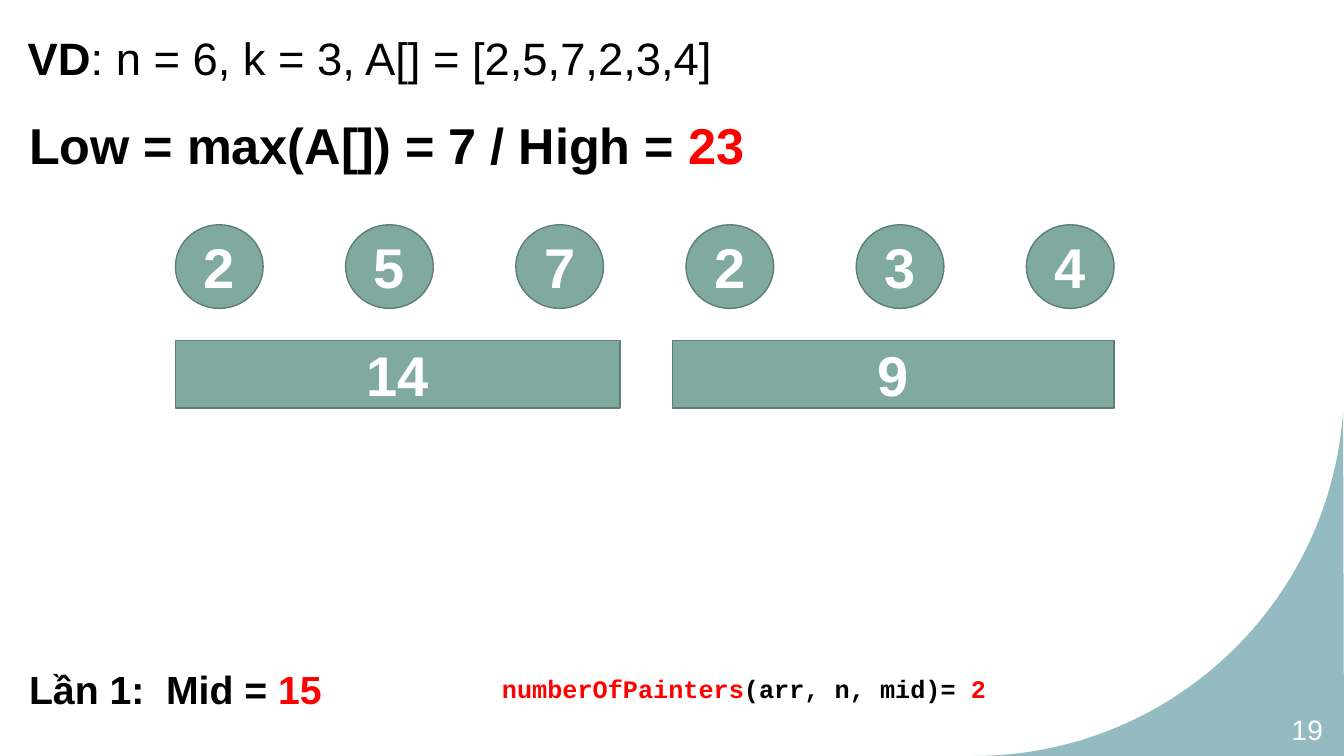
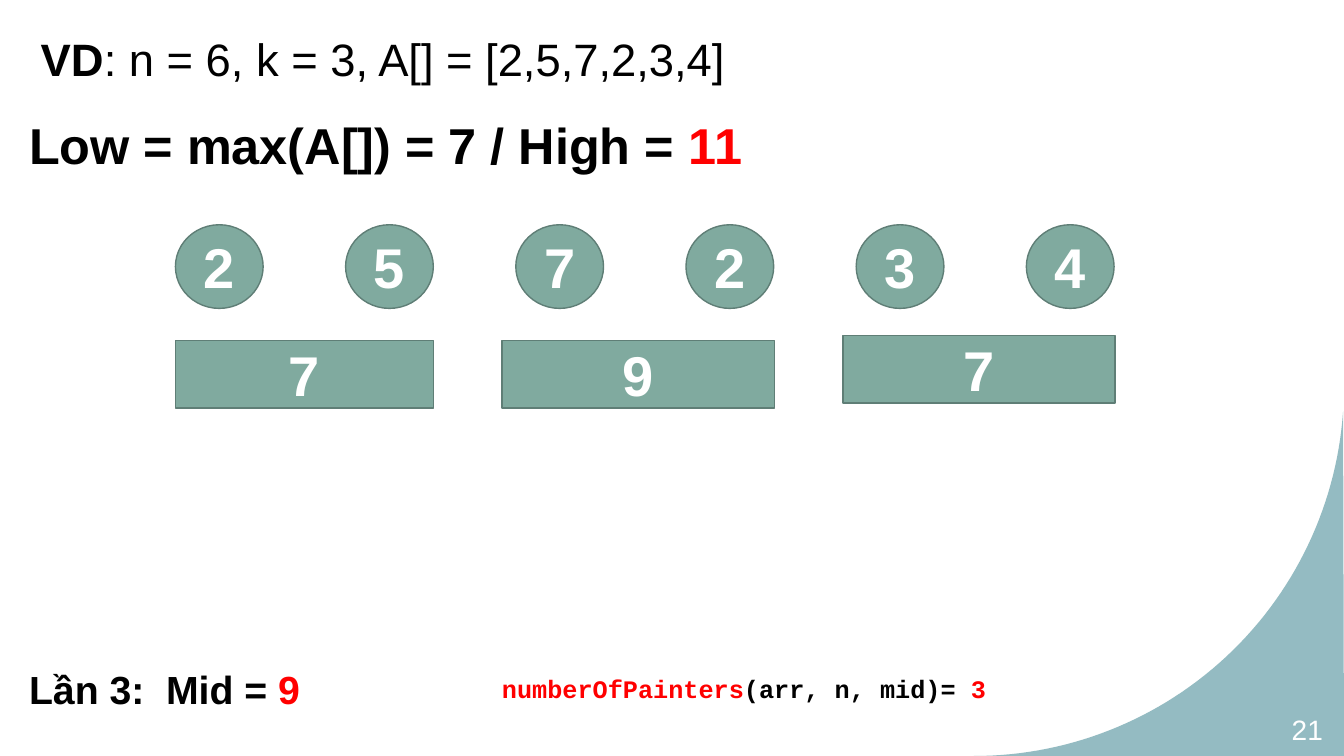
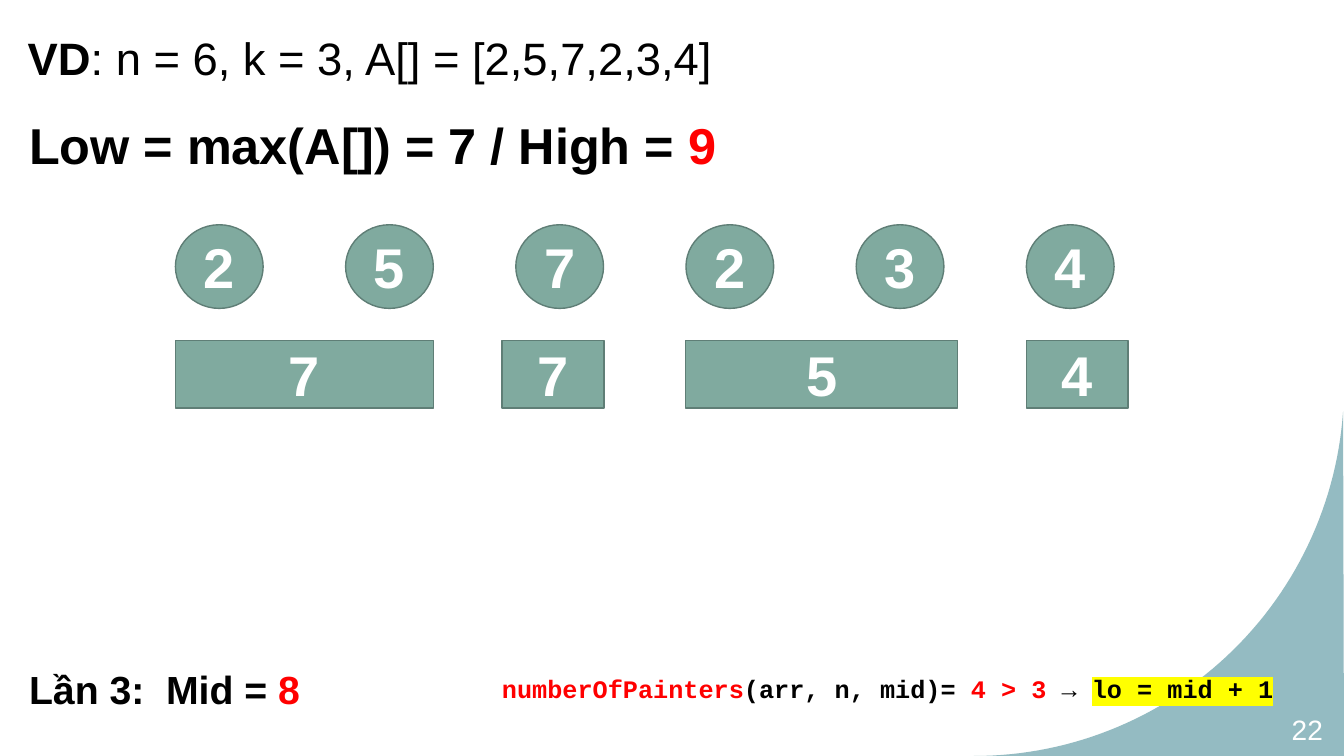
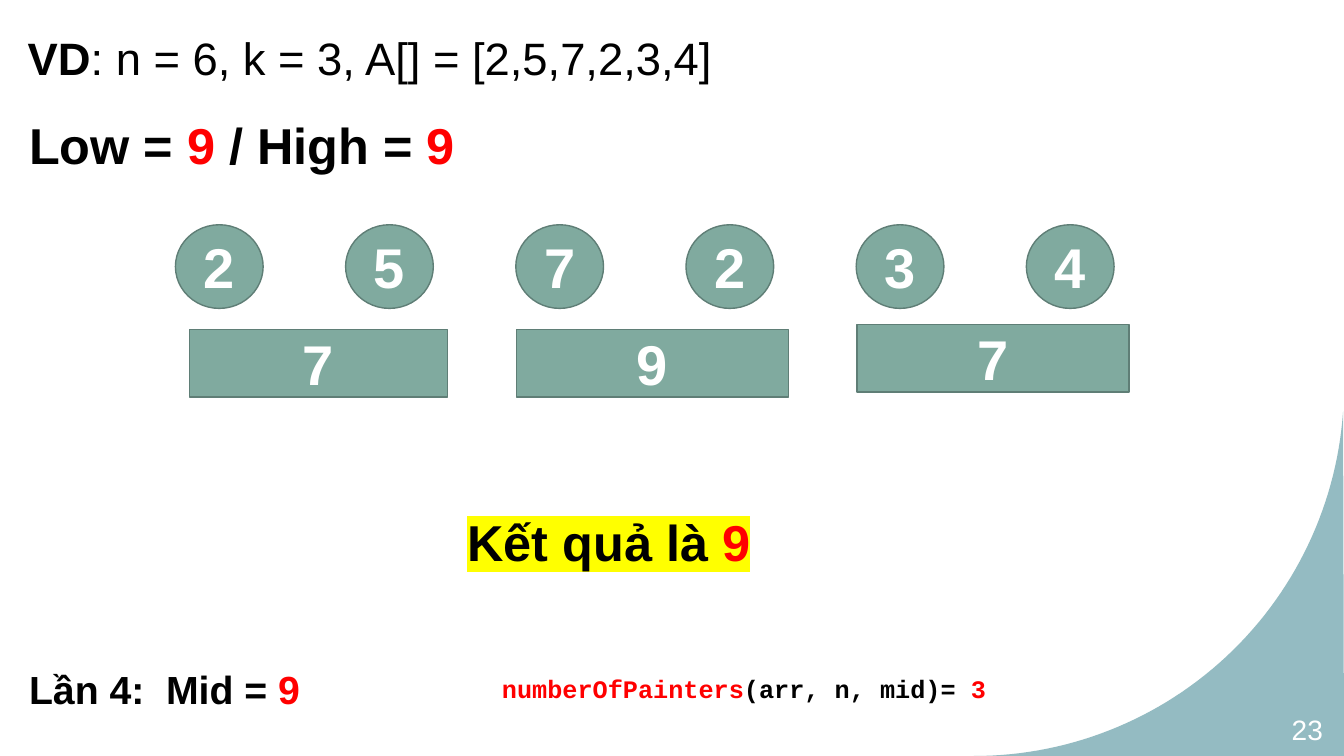
from math import asin, cos, pi, sin
from lxml.etree import SubElement
from pptx import Presentation
from pptx.dml.color import RGBColor
from pptx.enum.shapes import MSO_SHAPE
from pptx.enum.text import MSO_ANCHOR, MSO_AUTO_SIZE, PP_ALIGN
from pptx.oxml.ns import qn
from pptx.util import Inches, Pt

BLACK = RGBColor(0x00, 0x00, 0x00)
WHITE = RGBColor(0xFF, 0xFF, 0xFF)
RED = RGBColor(0xFF, 0x00, 0x00)
SAGE = RGBColor(0x80, 0xAA, 0x9F)
EDGE = RGBColor(0x5F, 0x7E, 0x76)
TEAL = RGBColor(0x7A, 0xAA, 0xB3)
YELLOW = "FFFF00"

WIDE, HIGH = 13.33, 7.5

# Font formats
HEAD = dict(size=Pt(32.4), name="Arial", bold=True)
RANGE = dict(HEAD, size=Pt(36))
ROUND = dict(HEAD, size=Pt(28))
CODE = dict(size=Pt(18), name="Courier New", bold=True)
VALUE = dict(HEAD, size=Pt(40))
PAGE = dict(size=Pt(20), name="Arial", bold=False)

# Frame formats
LOW = dict(vertical_anchor=MSO_ANCHOR.BOTTOM)
MID = dict(vertical_anchor=MSO_ANCHOR.MIDDLE)
TOP = dict(vertical_anchor=MSO_ANCHOR.TOP)

# Paragraph formats
LEFT = dict(alignment=PP_ALIGN.LEFT)
RIGHT = dict(alignment=PP_ALIGN.RIGHT)
CENTER = dict(alignment=PP_ALIGN.CENTER)
TIGHT = dict(LEFT, line_spacing=0.9)
TITLE = dict(CENTER, line_spacing=0.9)

# Bars: left, drop, width, sum
PAIRS = [(1.74, 0, 2.56, 7), (4.98, 0, 2.7, 9), (8.36, -0.05, 2.7, 7)]
ROUNDS = [
    dict(page=19, head=(-0.2, 0.23), span="Low = max(A[]) = 7 / High = |23",
         turn="Lần 1:  Mid = |15", count="2",
         bars=[(1.74, 0, 4.41, 14), (6.67, 0, 4.38, 9)]),
    dict(page=21, head=(-0.07, 0.24), span="Low = max(A[]) = 7 / High = |11",
         turn="Lần 3:  Mid = |9", count="3", bars=PAIRS),
    dict(page=22, head=(-0.2, 0.23), span="Low = max(A[]) = 7 / High = |9",
         turn="Lần 3:  Mid = |8", count="4 > 3", move="lo = mid + 1",
         bars=[(1.74, 0, 2.56, 7), (4.98, 0, 1.01, 7),
               (6.8, 0, 2.7, 5), (10.18, 0, 1.01, 4)]),
    dict(page=23, head=(-0.2, 0.23), span="Low = |9| / High = |9",
         turn="Lần 4:  Mid = |9", count="3", bars=PAIRS,
         shift=(0.14, -0.11), end="Kết quả là |9"),
]


def apply(item, form):
    for key, val in form.items():
        setattr(item, key, val)


def write(shape, text, font, para, frame, ink=BLACK):
    """Fill a shape with text whose pieces, split at |, alternate ink and red."""
    body = shape.text_frame
    apply(body, dict(frame, word_wrap=True, auto_size=MSO_AUTO_SIZE.NONE))
    line = body.paragraphs[0]
    apply(line, para)
    runs = []
    for i, part in enumerate(text.split("|")):
        if part:
            run = line.add_run()
            run.text = part
            apply(run.font, font)
            run.font.color.rgb = RED if i % 2 else ink
            runs.append(run)
    return runs


def label(slide, box, *args, **kw):
    return write(slide.shapes.add_textbox(*map(Inches, box)), *args, **kw)


def mark(run):
    """Highlight a run in yellow."""
    fill = run.font.fill._xPr.find(qn("a:solidFill"))
    glow = SubElement(run.font.fill._xPr, qn("a:highlight"))
    SubElement(glow, qn("a:srgbClr"), val=YELLOW)
    fill.addnext(glow)


def token(slide, kind, box, num):
    shape = slide.shapes.add_shape(kind, *map(Inches, box))
    shape.shadow.inherit = False
    shape.fill.solid()
    shape.fill.fore_color.rgb = SAGE
    shape.line.color.rgb = EDGE
    shape.line.width = Pt(1)
    write(shape, str(num), VALUE, CENTER, MID, ink=WHITE)


def corner(slide, layout, rad):
    """Draw the curved corner once and hand it to the layout."""
    mid_x, mid_y = WIDE - rad, HIGH - rad
    start = asin(0.25 / rad)
    turns = [start + (pi / 2 - start) * i / 60 for i in range(61)]
    pts = [(mid_x + rad * cos(t), mid_y + rad * sin(t)) for t in turns]
    pen = slide.shapes.build_freeform(Inches(WIDE), Inches(HIGH))
    pen.add_line_segments([(Inches(x), Inches(y)) for x, y in pts])
    shape = pen.convert_to_shape()
    shape.shadow.inherit = False
    shape.fill.solid()
    shape.fill.fore_color.rgb = TEAL
    shape.line.fill.background()
    tint = shape.element.spPr.find(qn("a:solidFill"))[0]
    SubElement(tint, qn("a:alpha"), val="80000")
    layout.shapes.element.append(shape.element)


def header(slide, left, top, span):
    title = slide.shapes.title
    apply(title, dict(left=Inches(left), top=Inches(top),
                      width=Inches(7.74), height=Inches(0.67)))
    runs = write(title, "VD||: n = 6, k = 3, A[] = [2,5,7,2,3,4]", HEAD, TITLE, LOW)
    runs[1].font.bold = False
    label(slide, (0.19, 1.12, 7.74, 0.67), span, RANGE, TIGHT, LOW)


def array(slide, left, top, width):
    """Six circles, evenly spaced over the width."""
    size = 0.87
    step = (width - size) / 5
    for i, num in enumerate([2, 5, 7, 2, 3, 4]):
        token(slide, MSO_SHAPE.OVAL, (left + i * step, top, size, 0.83), num)


def groups(slide, bars, dx, top):
    for left, drop, width, total in bars:
        token(slide, MSO_SHAPE.RECTANGLE, (left + dx, top + drop, width, 0.67), total)


def footer(slide, top, page, turn, count, move):
    label(slide, (0.19, top, 4.39, 0.57), turn, ROUND, LEFT, TOP)
    code = f"|numberOfPainters|(arr, n, mid)= |{count}"
    if move:
        code += f"| → ||{move}"
    runs = label(slide, (4.88, top + 0.08, 8.27, 0.4), code, CODE, LEFT, TOP)
    if move:
        mark(runs[-1])
    label(slide, (12.46, top + 0.49, 0.76, 0.4), str(page), PAGE, RIGHT, MID, ink=WHITE)


def build(slide, page, head, span, turn, count, bars, move="", shift=(0, 0), end=""):
    header(slide, *head, span)
    array(slide, 1.74, 2.23, 9.31)
    groups(slide, bars, shift[0], 3.38 + shift[1])
    footer(slide, 6.55, page, turn, count, move)
    # Final answer
    if end:
        for run in label(slide, (2.17, 5.06, 7.74, 0.67), end, RANGE, TITLE, LOW):
            mark(run)


def main():
    deck = Presentation()
    deck.slide_width, deck.slide_height = Inches(WIDE), Inches(HIGH)
    layout = deck.slide_layouts[5]
    for i, data in enumerate(ROUNDS):
        slide = deck.slides.add_slide(layout)
        if i == 0:
            corner(slide, layout, 3.67)
        build(slide, **data)
    deck.save("out.pptx")


if __name__ == "__main__":
    main()
